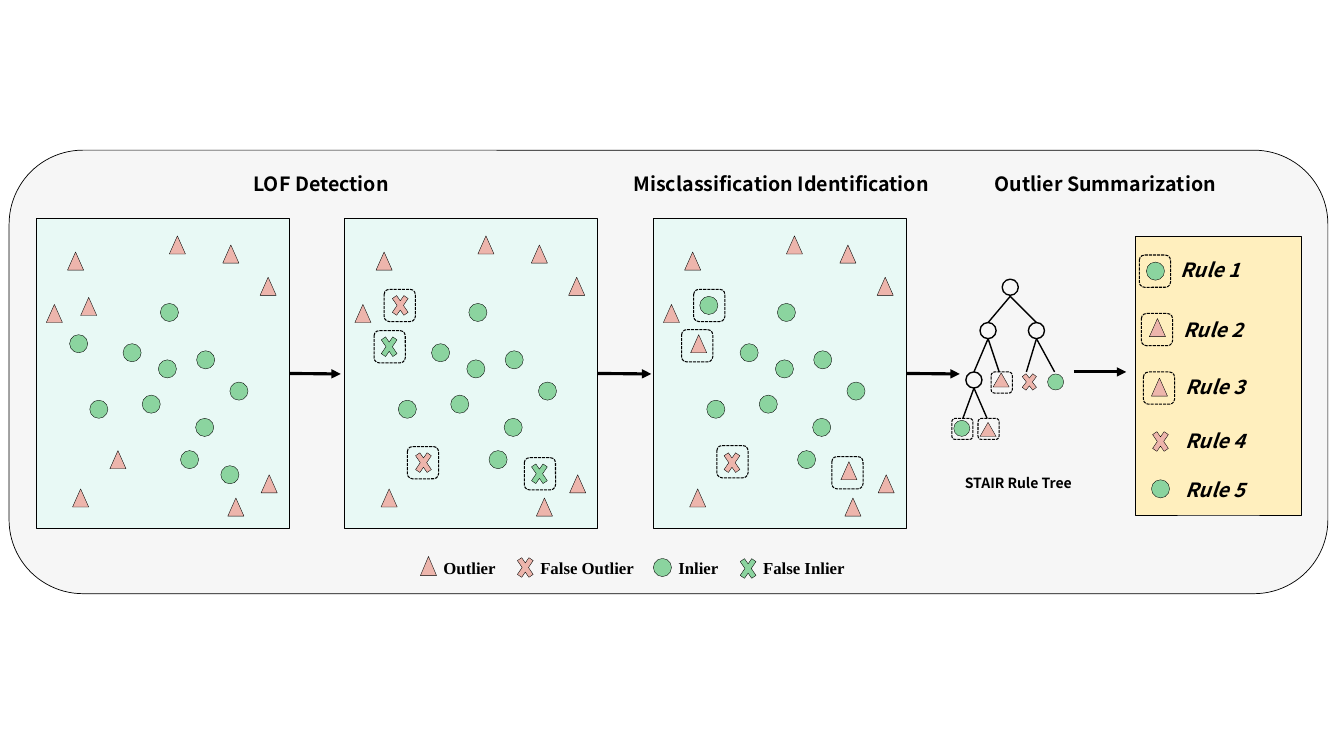
import pptx
import pptx.util
import pptx.dml.color
import pptx.enum.dml
import pptx.enum.shapes
import pptx.enum.text
import pptx.oxml
import pptx.oxml.ns

Inches = pptx.util.Inches
MSO = pptx.enum.shapes.MSO_SHAPE
TEXT = pptx.enum.text

THEME = {
    "ink": "000000", "frame": "F6F6F6", "panel": "E8F9F5", "rules": "FFEFBE",
    "outlier": "EDB5AC", "inlier": "8BD49F",
    "sans": "Noto Sans CJK SC", "serif": "Times New Roman",
    "title": 14, "caption": 10, "legend": 12,
    "border": 0.5, "marker": 0.25, "dash": 0.75, "branch": 1, "arrow": 2.25,
}
MARKERS = {
    "outlier": (MSO.ISOSCELES_TRIANGLE, 0.16, 0.18, "outlier"),
    "inlier": (MSO.OVAL, 0.18, 0.18, "inlier"),
    "false outlier": (MSO.MATH_MULTIPLY, 0.22, 0.32, "outlier"),
    "false inlier": (MSO.MATH_MULTIPLY, 0.22, 0.32, "inlier"),
    "legend outlier": (MSO.FLOWCHART_EXTRACT, 0.16, 0.19, "outlier"),
    "leaf extract": (MSO.FLOWCHART_EXTRACT, 0.16, 0.14, "outlier"),
    "leaf outlier": (MSO.ISOSCELES_TRIANGLE, 0.16, 0.14, "outlier"),
    "leaf inlier": (MSO.OVAL, 0.16, 0.16, "inlier"),
    "leaf false outlier": (MSO.MATH_MULTIPLY, 0.2, 0.26, "outlier"),
    "tree node": (MSO.OVAL, 0.16, 0.16, None),
    "box": (MSO.ROUNDED_RECTANGLE, 0.31, 0.32, None),
    "leaf box": (MSO.ROUNDED_RECTANGLE, 0.21, 0.21, None),
}

prs = pptx.Presentation()
prs.slide_width, prs.slide_height = Inches(13.33), Inches(7.5)
s = prs.slides.add_slide(prs.slide_layouts[6])


def draw(shape, x, y, w, h, fill, weight="marker"):
    sp = s.shapes.add_shape(shape, Inches(x), Inches(y), Inches(w), Inches(h))
    sp.shadow.inherit = False
    if fill:
        sp.fill.solid()
        sp.fill.fore_color.rgb = pptx.dml.color.RGBColor.from_string(THEME[fill])
    else:
        sp.fill.background()
    sp.line.color.rgb = pptx.dml.color.RGBColor.from_string(THEME["ink"])
    sp.line.width = pptx.util.Pt(THEME[weight])
    if weight == "dash":
        sp.line.dash_style = pptx.enum.dml.MSO_LINE.SQUARE_DOT
    return sp


def write(text, x, y, w, h, size="title", face="sans", italic=False, centred=False):
    tf = s.shapes.add_textbox(Inches(x), Inches(y), Inches(w), Inches(h)).text_frame
    tf.word_wrap = True
    p = tf.paragraphs[0]
    if centred:
        tf.vertical_anchor = TEXT.MSO_ANCHOR.MIDDLE
        p.alignment = TEXT.PP_ALIGN.CENTER
    else:
        tf.auto_size = TEXT.MSO_AUTO_SIZE.SHAPE_TO_FIT_TEXT
    r = p.add_run()
    r.text = text
    font = {"name": THEME[face], "size": pptx.util.Pt(THEME[size]), "bold": True, "italic": italic}
    for key, value in font.items():
        setattr(r.font, key, value)
    r.font.color.rgb = pptx.dml.color.RGBColor.from_string(THEME["ink"])


draw(MSO.ROUNDED_RECTANGLE, 0.09, 1.49, 13.08, 4.4, "frame", "border")

for title, x, w in [("LOF Detection", 0.55, 5.27),
                    ("Misclassification Identification", 6.12, 3.26),
                    ("Outlier Summarization", 9.4, 3.13)]:
    write(title, x, 1.61, w, 0.42, centred=True)
write("STAIR Rule Tree", 9.23, 4.59, 1.74, 0.41, "caption", centred=True)

panel_left, panel_pitch = 0.36, 3.06
shared_points = {
    "outlier": [(0.67, 2.5), (2.58, 2.75), (2.26, 4.94), (2.59, 4.71),
                (0.46, 3.02), (2.21, 2.43), (1.68, 2.34), (0.72, 4.85)],
    "inlier": [(1.59, 3.01), (1.95, 3.48), (1.41, 3.92), (1.94, 4.15), (2.28, 3.79),
               (1.79, 4.47), (1.22, 3.41), (0.89, 3.97), (1.57, 3.57)],
}
panel_points = [
    {"outlier": [(1.09, 4.47), (0.8, 2.95)], "inlier": [(2.19, 4.62), (0.69, 3.32)]},
    {"false outlier": [(1.03, 4.43), (0.8, 2.87)],
     "false inlier": [(2.18, 4.54), (0.69, 3.28)],
     "box": [(0.75, 2.87), (0.65, 3.28), (2.14, 4.54), (0.98, 4.43)]},
    {"false outlier": [(1.03, 4.43)], "inlier": [(0.82, 2.94)],
     "outlier": [(2.22, 4.58), (0.73, 3.32)],
     "box": [(0.76, 2.87), (0.64, 3.27), (2.13, 4.53), (0.99, 4.42)]},
]
panels = []
for i, own_points in enumerate(panel_points):
    shift = i * panel_pitch
    panels.append(draw(MSO.RECTANGLE, panel_left + shift, 2.17, 2.51, 3.07, "panel", "border"))
    for points in (shared_points, own_points):
        for kind, places in points.items():
            shape, w, h, fill = MARKERS[kind]
            for x, y in places:
                draw(shape, x + shift, y, w, h, fill, "dash" if kind == "box" else "marker")

connectors = [
    (2.87, 3.71, 3.38, 3.71, "arrow", panels[0]),
    (5.93, 3.71, 6.46, 3.71, "arrow", panels[1]),
    (8.99, 3.71, 9.52, 3.71, "arrow", panels[2]),
    (10.65, 3.69, 11.17, 3.69, "arrow", None),
    (10.02, 2.94, 9.8, 3.2, "branch", None),
    (10.02, 2.94, 10.28, 3.2, "branch", None),
    (9.8, 3.36, 9.66, 3.69, "branch", None),
    (9.8, 3.36, 9.91, 3.69, "branch", None),
    (10.28, 3.36, 10.18, 3.69, "branch", None),
    (10.28, 3.36, 10.46, 3.69, "branch", None),
    (9.66, 3.85, 9.55, 4.15, "branch", None),
    (9.66, 3.85, 9.79, 4.15, "branch", None),
]
for x1, y1, x2, y2, weight, source in connectors:
    line = s.shapes.add_connector(pptx.enum.shapes.MSO_CONNECTOR.STRAIGHT,
                                  Inches(x1), Inches(y1), Inches(x2), Inches(y2))
    line.line.color.rgb = pptx.dml.color.RGBColor.from_string(THEME["ink"])
    line.line.width = pptx.util.Pt(THEME[weight])
    if weight == "arrow":
        ln = line.line._get_or_add_ln()
        ln.append(pptx.oxml.parse_xml(
            f'<a:tailEnd {pptx.oxml.ns.nsdecls("a")} type="triangle"/>'))
    line._element.spPr.append(pptx.oxml.parse_xml(
        f'<a:effectLst {pptx.oxml.ns.nsdecls("a")}/>'))
    if source is not None:
        line.begin_connect(source, 3)

tree = {
    "tree node": [(9.58, 3.69), (9.72, 3.2), (10.2, 3.2), (9.94, 2.77)],
    "leaf extract": [(9.85, 3.7)],
    "leaf inlier": [(9.46, 4.17), (10.39, 3.71)],
    "leaf outlier": [(9.72, 4.19)],
    "leaf false outlier": [(10.11, 3.66)],
    "leaf box": [(9.44, 4.15), (9.7, 4.15), (9.83, 3.69)],
}
weights = {"tree node": "branch", "leaf box": "dash"}
for kind, places in tree.items():
    shape, w, h, fill = MARKERS[kind]
    for x, y in places:
        draw(shape, x, y, w, h, fill, weights.get(kind, "marker"))

draw(MSO.RECTANGLE, 11.26, 2.35, 1.65, 2.76, "rules", "border")
rules = [
    ("inlier", 11.37, 2.6, (11.3, 2.53), 11.61, 2.51),
    ("outlier", 11.4, 3.16, (11.32, 3.11), 11.64, 3.1),
    ("outlier", 11.42, 3.75, (11.34, 3.69), 11.66, 3.67),
    ("false outlier", 11.4, 4.22, None, 11.66, 4.21),
    ("inlier", 11.42, 4.76, None, 11.66, 4.69),
]
for number, (kind, x, y, box, text_x, text_y) in enumerate(rules, 1):
    shape, w, h, fill = MARKERS[kind]
    draw(shape, x, y, w, h, fill)
    if box:
        shape, w, h, fill = MARKERS["box"]
        draw(shape, *box, w, h, fill, "dash")
    write(f"Rule {number}", text_x, text_y, 1.17, 0.34, italic=True)

legend = [
    ("legend outlier", 4.17, 5.52, "Outlier", 4.3, 0.77),
    ("false outlier", 5.1, 5.47, "False Outlier", 5.26, 1.25),
    ("inlier", 6.48, 5.54, "Inlier", 6.63, 0.6),
    ("false inlier", 7.31, 5.48, "False Inlier", 7.47, 1.1),
]
for kind, x, y, label, label_x, label_w in legend:
    shape, w, h, fill = MARKERS[kind]
    draw(shape, x, y, w, h, fill)
    write(label, label_x, 5.48, label_w, 0.3, "legend", "serif")

prs.save("out.pptx")
